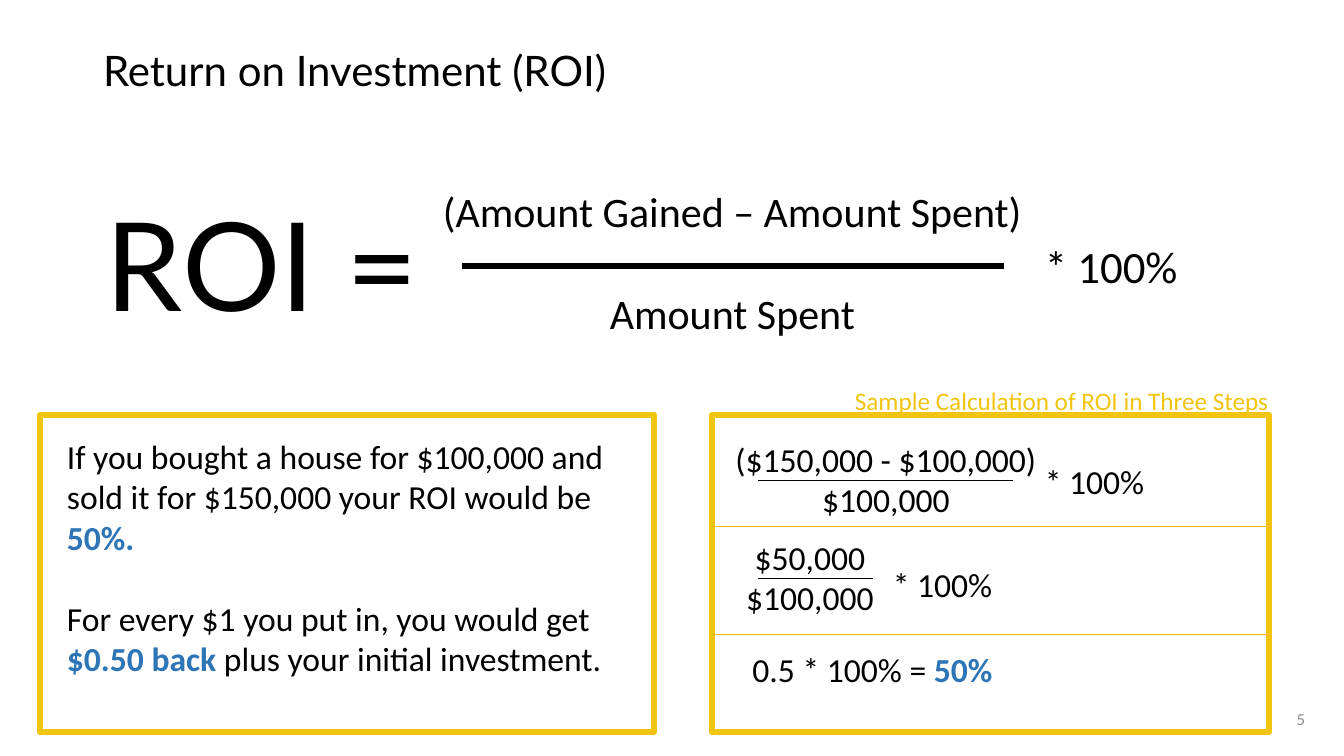
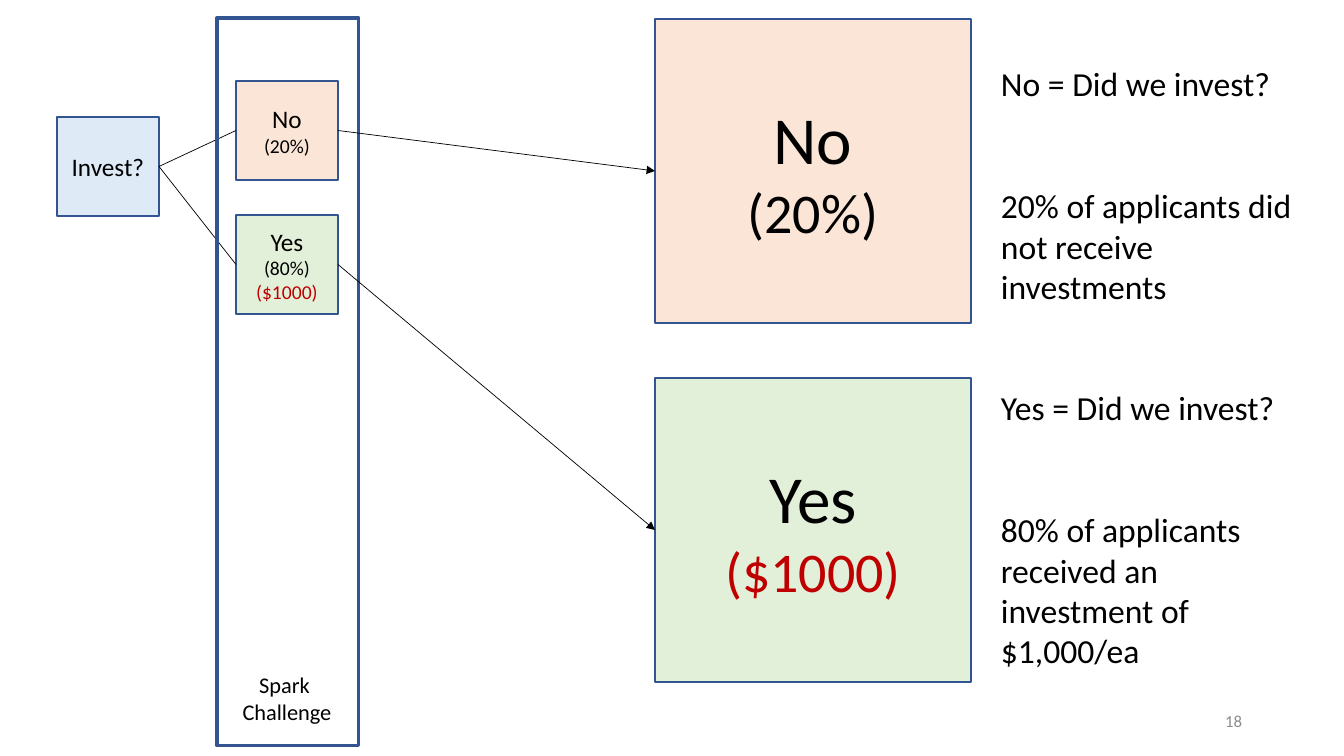
from lxml import etree
from pptx import Presentation
from pptx.dml.color import RGBColor
from pptx.enum.shapes import MSO_CONNECTOR, MSO_SHAPE
from pptx.enum.text import MSO_ANCHOR, PP_ALIGN
from pptx.oxml.ns import qn
from pptx.util import Emu, Pt

RECT, STRAIGHT = MSO_SHAPE.RECTANGLE, MSO_CONNECTOR.STRAIGHT
LEFT, CENTER, RIGHT = PP_ALIGN.LEFT, PP_ALIGN.CENTER, PP_ALIGN.RIGHT
TOP, MIDDLE = MSO_ANCHOR.TOP, MSO_ANCHOR.MIDDLE
RIGHT_SIDE, LEFT_SIDE = 3, 1

BLACK = RGBColor(0x00, 0x00, 0x00)
GREY = RGBColor(0x8C, 0x8C, 0x8C)
YELLOW = RGBColor(0xF1, 0xC4, 0x0F)
AMBER = RGBColor(0xFF, 0xC0, 0x00)
ACCENT = RGBColor(0x2E, 0x75, 0xB6)
NAVY = RGBColor(0x32, 0x54, 0x91)
RED = RGBColor(0xC0, 0x00, 0x00)
PALE_BLUE = RGBColor(0xDE, 0xEB, 0xF7)
PALE_ORANGE = RGBColor(0xFB, 0xE5, 0xD6)
PALE_GREEN = RGBColor(0xE2, 0xF0, 0xD9)

BODY_FONT, HEAD_FONT = "Calibri", "Lato"


def px(n):
    """Turn pixels into EMU."""
    return Emu(round(n * 914400 / 100.8))


def style(p, size, color=BLACK, align=LEFT, font=BODY_FONT):
    """Set the font and alignment of a paragraph."""
    p.alignment = align
    p.font.name, p.font.size = font, Pt(size)
    p.font.color.rgb = color


def add_line(tf, text, size, color=BLACK, align=LEFT, before=0, font=BODY_FONT):
    """Add a paragraph in which pieces between bars are accented."""
    p = tf.paragraphs[0]
    if p.runs:
        p = tf.add_paragraph()
        p.space_before = Pt(before)
    style(p, size, color, align, font)
    for i, piece in enumerate(text.split("|")):
        if piece:
            r = p.add_run()
            r.text = piece
            if i % 2:
                r.font.bold = True
                r.font.color.rgb = ACCENT


def add_text(slide, box, lines, size, color=BLACK, align=LEFT, before=0,
             font=BODY_FONT, wrap=False, anchor=TOP):
    """Add a text box whose lines share one style."""
    tf = slide.shapes.add_textbox(*map(px, box)).text_frame
    tf.word_wrap, tf.vertical_anchor = wrap, anchor
    for text in lines:
        add_line(tf, text, size, color, align, before, font)
    return tf


def add_rect(slide, box, line, width, fill=None):
    """Add an outlined rectangle."""
    sp = slide.shapes.add_shape(RECT, *map(px, box))
    sp.shadow.inherit = False
    sp.line.color.rgb, sp.line.width = line, Pt(width)
    if fill is None:
        sp.fill.background()
    else:
        sp.fill.solid()
        sp.fill.fore_color.rgb = fill
    return sp


def add_rule(slide, x1, y1, x2, y2, color=BLACK, width=0.5):
    """Add a straight line without shadow."""
    line = slide.shapes.add_connector(STRAIGHT, *map(px, (x1, y1, x2, y2)))
    line.line.color.rgb, line.line.width = color, Pt(width)
    etree.SubElement(line._element.spPr, qn("a:effectLst"))
    return line


def join(slide, start, end, arrow=False):
    """Connect the right side of one box to the left side of another."""
    line = add_rule(slide, 0, 0, 0, 0)
    line.begin_connect(start, RIGHT_SIDE)
    line.end_connect(end, LEFT_SIDE)
    if arrow:
        ln = line.line._get_or_add_ln()
        etree.SubElement(ln, qn("a:tailEnd"), type="triangle")


def add_number(slide, x, y, number):
    """Add the slide number."""
    add_text(slide, (x, y, 302, 40), [number], 12, GREY, RIGHT,
             wrap=True, anchor=MIDDLE)


def add_title(slide, text):
    """Place and format the title."""
    sp = slide.shapes.title
    sp.left, sp.top, sp.width, sp.height = map(px, (93, 0, 1159, 146))
    tf = sp.text_frame
    tf.vertical_anchor = MIDDLE
    add_line(tf, text, 30, font=HEAD_FONT)
    tf.paragraphs[0].line_spacing = 0.9


def roi_formula(slide, x, y):
    """Draw the large formula."""
    add_text(slide, (x, y + 2, 365, 159), ["ROI ="], 88, font=HEAD_FONT)
    add_text(slide, (x + 334, y, 605, 163),
             ["(Amount Gained – Amount Spent)", "Amount Spent"], 30,
             align=CENTER, before=36.6)
    add_rule(slide, x + 366, y + 85, x + 908, y + 85, width=4.5)
    add_text(slide, (x + 939, y + 53, 154, 65), ["* 100%"], 32)


def example_panel(slide, x, y, w, h):
    """Draw the framed example."""
    add_rect(slide, (x, y, w, h), YELLOW, 4.5)
    tf = add_text(slide, (x + 17, y + 16, 570, 254), [
        "If you bought a house for $100,000 and sold it for $150,000 "
        "your ROI would be |50%.|",
        "For every $1 you put in, you would get",
        "|$0.50 back |plus your initial investment."], 24, wrap=True)
    tf.paragraphs[1].space_before = Pt(29.3)


def fraction_step(slide, x, y, w, terms, bar, factor_x, factor_y):
    """Draw a fraction followed by its percentage factor."""
    add_text(slide, (x, y, w, 92), terms, 24, align=CENTER)
    add_rule(slide, bar[0], y + 46, bar[1], y + 46)
    add_text(slide, (factor_x, factor_y, 121, 50), ["* 100%"], 24)


def steps_panel(slide, x, y, w, h):
    """Draw the three calculation steps."""
    add_rect(slide, (x, y, w, h), YELLOW, 4.5)
    fraction_step(slide, x + 12, y + 19, 324,
                  ["($150,000 - $100,000)", "$100,000"],
                  (x + 46, x + 301), x + 323, y + 41)
    fraction_step(slide, x + 22, y + 117, 152, ["$50,000", "$100,000"],
                  (x + 46, x + 161), x + 171, y + 144)
    add_text(slide, (x + 30, y + 229, 261, 50), ["0.5 * 100% = |50%|"], 24,
             align=CENTER)
    for offset in (111, 219):
        add_rule(slide, x, y + offset, x + w, y + offset, AMBER)
    add_text(slide, (x + 133, y - 35, 439, 40),
             ["Sample Calculation of ROI in Three Steps"], 18, YELLOW)


def node(slide, box, fill, lines):
    """Draw a decision box from (text, size, colour) lines."""
    sp = add_rect(slide, box, NAVY, 1, fill)
    tf = sp.text_frame
    tf.vertical_anchor = MIDDLE
    for text, size, color in lines:
        add_line(tf, text, size, color, CENTER)
    return sp


def decision_tree(slide, x, y):
    """Draw the small tree and return its two outcomes."""
    w, h = 102, 99
    invest = node(slide, (x, y, w, h), PALE_BLUE, [("Invest?", 18, BLACK)])
    no = node(slide, (x + 179, y - 36, w, h), PALE_ORANGE,
              [("No", 18, BLACK), ("(20%)", 14, BLACK)])
    yes = node(slide, (x + 179, y + 98, w, h), PALE_GREEN,
               [("Yes", 18, BLACK), ("(80%)", 14, BLACK), ("($1000)", 14, RED)])
    for outcome in (no, yes):
        join(slide, invest, outcome)
    return no, yes


def stage_column(slide, x, y, w, h):
    """Draw the tall frame and its label."""
    add_rect(slide, (x, y, w, h), NAVY, 2.25)
    add_text(slide, (x + 15, y + 648, 110, 65), ["Spark ", "Challenge"], 16,
             align=CENTER)


def outcome_detail(slide, x, y, source, fill, lines, notes, note_y):
    """Draw an enlarged outcome, its arrow and its notes."""
    detail = node(slide, (x, y, 316, 304), fill, lines)
    join(slide, source, detail, arrow=True)
    add_text(slide, (x + 336, y + note_y, 333, 254), notes, 24,
             before=58.6, wrap=True)


def roi_slide(prs):
    """Build the return on investment slide."""
    slide = prs.slides.add_slide(prs.slide_layouts[5])
    add_title(slide, "Return on Investment (ROI)")
    roi_formula(slide, 96, 181)
    example_panel(slide, 40, 415, 614, 317)
    steps_panel(slide, 712, 415, 557, 317)
    add_number(slide, 1013, 699, "5")


def decision_slide(prs):
    """Build the investment decision slide."""
    slide = prs.slides.add_slide(prs.slide_layouts[6])
    no, yes = decision_tree(slide, 57, 117)
    stage_column(slide, 217, 18, 142, 728)
    outcome_detail(slide, 655, 19, no, PALE_ORANGE,
                   [("No", 48, BLACK), ("(20%)", 40, BLACK)],
                   ["No = Did we invest?",
                    "20% of applicants did not receive investments"], 39)
    outcome_detail(slide, 655, 378, yes, PALE_GREEN,
                   [("Yes", 48, BLACK), ("($1000)", 40, RED)],
                   ["Yes = Did we invest?",
                    "80% of applicants received an investment of $1,000/ea"], 4)
    add_number(slide, 950, 701, "18")


def main():
    """Build and save the presentation."""
    prs = Presentation()
    prs.slide_width, prs.slide_height = px(1344), px(756)
    roi_slide(prs)
    decision_slide(prs)
    prs.save("out.pptx")


if __name__ == "__main__":
    main()
